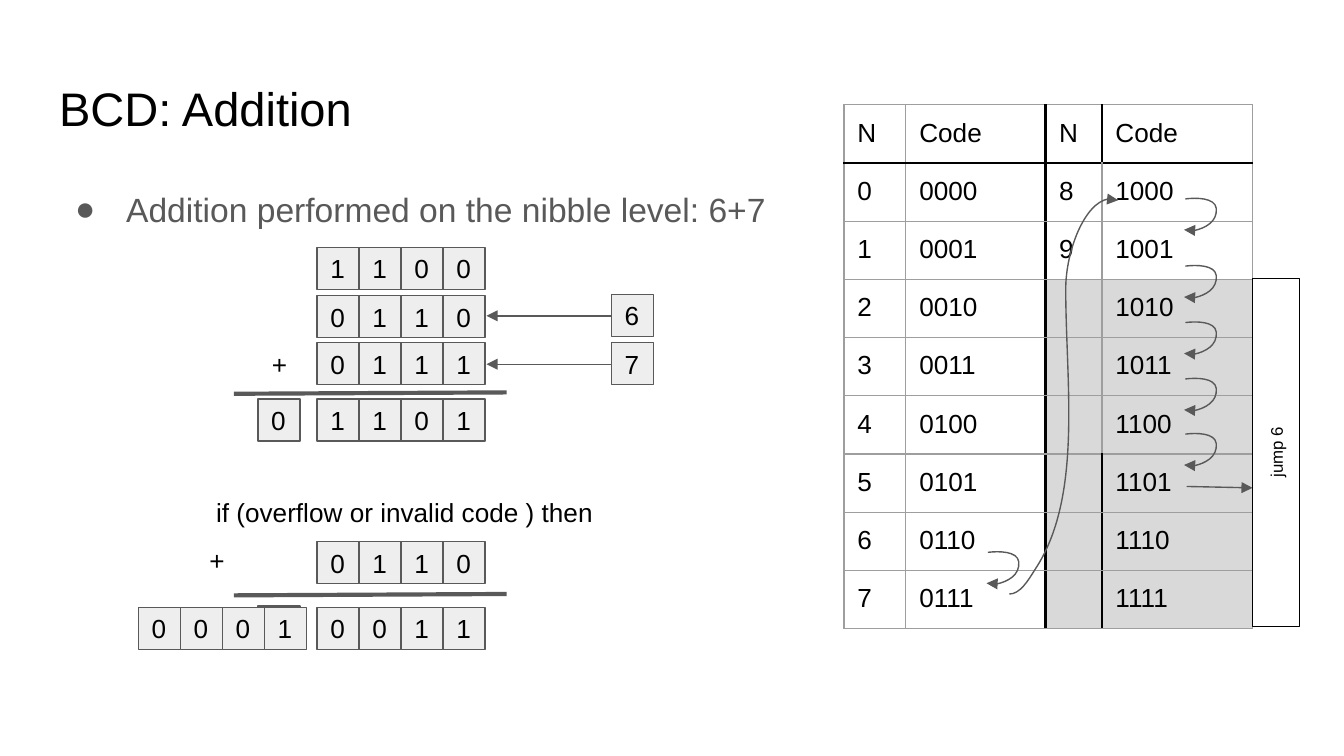
from dataclasses import dataclass

from lxml import etree
from pptx import Presentation, util as u
from pptx.dml.color import RGBColor
from pptx.enum import shapes as sh, text
from pptx.oxml.ns import qn

PX = 9144  # EMU per px, 100 px to the inch


@dataclass(frozen=True)
class Theme:
    font: str = "Arial"
    ink: str = "000000"
    grey: str = "595959"
    cell: str = "EEEEEE"
    invalid: str = "D9D9D9"
    grid: str = "9E9E9E"
    paper: str = "FFFFFF"
    title: float = 25.2
    body: float = 18
    digit: float = 14
    note: float = 9
    thin: float = 0.75
    medium: float = 1.5
    thick: float = 2.25


T = Theme()
LOOP = [(0, 0), (8, -1), (22, -1), (23, 7), (24, 17), (7, 27), (-1, 23)]
WRAP_CURVE = [(123, 364), (131, 364), (137, 354), (142, 346), (178, 292),
              (165, 207), (165, 137), (165, 109), (183, 62), (204, 71)]


def px(n):
    return u.Emu(n * PX)


def rgb(color):
    return RGBColor.from_string(color)


def write(tf, words, size, color=T.ink, align=text.PP_ALIGN.LEFT,
          anchor=text.MSO_ANCHOR.TOP):
    tf.word_wrap = True
    tf.auto_size = text.MSO_AUTO_SIZE.NONE
    tf.vertical_anchor = anchor
    tf.margin_left = tf.margin_right = tf.margin_top = tf.margin_bottom = px(10)
    p = tf.paragraphs[0]
    p.alignment = align
    add_run(p, words, size, color)
    return p


def add_run(p, words, size, color=T.ink):
    r = p.add_run()
    r.text = words
    r.font.size, r.font.name = u.Pt(size), T.font
    r.font.color.rgb = rgb(color)


def rect(parent, x, y, w, h, fill=None, line=None):
    """Add a plain rectangle; x, y, w and h are in EMU."""
    sp = parent.add_shape(sh.MSO_SHAPE.RECTANGLE, x, y, w, h)
    sp.shadow.inherit = False
    if fill:
        sp.fill.solid()
        sp.fill.fore_color.rgb = rgb(fill)
    else:
        sp.fill.background()
    if line:
        stroke(sp, line, T.thin)
    else:
        sp.line.fill.background()
    return sp


def stroke(sp, color, width, arrow=False):
    sp.line.color.rgb = rgb(color)
    sp.line.width = u.Pt(width)
    if arrow:
        ln = sp.line._get_or_add_ln()
        etree.SubElement(ln, qn("a:tailEnd"), type="triangle")


def line(s, x1, y1, x2, y2, width=T.thin, arrow=False):
    sp = s.shapes.add_connector(sh.MSO_CONNECTOR.STRAIGHT, px(x1), px(y1), px(x2), px(y2))
    stroke(sp, T.grey, width, arrow)
    etree.SubElement(sp._element.spPr, qn("a:effectLst"))


def curve_arrow(s, x, y, points):
    """Draw a start point and cubic Bezier triples, offset by x, y."""
    start, *rest = [(px(x + dx), px(y + dy)) for dx, dy in points]
    builder = s.shapes.build_freeform(*start)
    builder.add_line_segments(rest, close=False)
    sp = builder.convert_to_shape()
    outline = next(sp._element.iter(qn("a:path")))
    segments = outline.findall(qn("a:lnTo"))
    for i in range(0, len(segments), 3):
        bezier = etree.SubElement(outline, qn("a:cubicBezTo"))
        for segment in segments[i:i + 3]:
            bezier.append(segment[0])
            outline.remove(segment)
    sp.shadow.inherit = False
    sp.fill.background()
    stroke(sp, T.grey, T.thin, arrow=True)


def digits(s, x, y, bits):
    """Add a row of digit boxes, grouped when there are several."""
    parent = s.shapes.add_group_shape().shapes if len(bits) > 1 else s.shapes
    side = px(125) // 4
    for i, bit in enumerate(bits):
        sp = rect(parent, px(x) + i * side, px(y), side, side, T.cell, T.grey)
        write(sp.text_frame, bit, T.digit, anchor=text.MSO_ANCHOR.MIDDLE)


def plus(s, x, y, w):
    sp = rect(s.shapes, px(x), px(y), px(w), px(36), T.paper)
    write(sp.text_frame, "+", T.digit, align=text.PP_ALIGN.CENTER,
          anchor=text.MSO_ANCHOR.MIDDLE)


def heading(s, x, y, w, h):
    sp = s.shapes.title
    sp.left, sp.top, sp.width, sp.height = map(px, (x, y, w, h))
    write(sp.text_frame, "BCD: Addition", T.title)


def bullet(s, x, y, w, h):
    tf = s.shapes.add_textbox(*map(px, (x, y, w, h))).text_frame
    p = write(tf, "Addition performed on the nibble level: 6+7", T.body, T.grey)
    p.line_spacing = 1.15
    pPr = p._p.get_or_add_pPr()
    pPr.set("marL", str(px(50)))
    pPr.set("indent", str(px(-38)))
    color = etree.SubElement(pPr, qn("a:buClr"))
    etree.SubElement(color, qn("a:srgbClr"), val=T.grey)
    etree.SubElement(pPr, qn("a:buSzPts"), val=str(T.body * 100))
    etree.SubElement(pPr, qn("a:buFont"), typeface=T.font)
    etree.SubElement(pPr, qn("a:buChar"), char="●")


def first_sum(s, x, y):
    for dy, bits in ((71, "0111"), (36, "0110"), (0, "1100"), (113, "1101")):
        digits(s, x + 62, y + dy, bits)
    line(s, x + 203, y + 108, x, y + 109, T.thick)
    plus(s, x + 17, y + 69, 34)
    digits(s, x + 18, y + 113, "0")
    for dy, operand in ((35, "6"), (71, "7")):
        digits(s, x + 281, y + dy, operand)
        line(s, x + 281, y + dy + 16, x + 188, y + dy + 16, arrow=True)


def correction(s, x, y):
    digits(s, x + 137, y + 44, "0110")
    plus(s, x, y + 40, 125)
    digits(s, x + 137, y + 93, "0011")
    line(s, x + 278, y + 83, x + 75, y + 84, T.thick)
    tf = s.shapes.add_textbox(px(x + 52), px(y), px(314), px(44)).text_frame
    write(tf, "if (overflow or invalid code ) then", T.digit)
    digits(s, x + 93, y + 92, "1")
    digits(s, x + 4, y + 93, "0001")


def border(cell, edges):
    """Set cell borders from (side, color, width) in L, R, T, B order."""
    tcPr = cell._tc.get_or_add_tcPr()
    for i, (side, color, width) in enumerate(edges):
        ln = etree.Element(qn("a:ln" + side), w=str(u.Pt(width)))
        fill = etree.SubElement(ln, qn("a:solidFill"))
        etree.SubElement(fill, qn("a:srgbClr"), val=color)
        tcPr.insert(i, ln)


def fill_cell(cell, value, color):
    cell.margin_left = cell.margin_right = px(10)
    cell.margin_top = cell.margin_bottom = px(10)
    p = cell.text_frame.paragraphs[0]
    if value:
        add_run(p, value, T.digit)
    else:
        end = p._p.get_or_add_endParaRPr()
        end.set("sz", str(T.digit * 100))
        etree.SubElement(end, qn("a:latin"), typeface=T.font)
    if color:
        cell.fill.solid()
        cell.fill.fore_color.rgb = rgb(color)
    else:
        cell.fill.background()


def code_table(s, x, y, w, h):
    rows = [("N", "Code", "N", "Code")]
    for n in range(8):
        high = n + 8
        rows.append((str(n), f"{n:04b}", str(high) if high < 10 else "", f"{high:04b}"))
    tbl = s.shapes.add_table(len(rows), 4, *map(px, (x, y, w, h))).table
    tbl.first_row = tbl.horz_banding = False
    for col, width in zip(tbl.columns, (46, 104, 42, 112)):
        col.width = px(width)
    light, strong, dark = (T.grid, T.thin), (T.ink, T.medium), (T.ink, T.thin)
    for i, values in enumerate(rows):
        tbl.rows[i].height = u.Emu(px(h) // len(rows))
        code_edge = dark if i == 0 or i > 5 else light
        verticals = (light, light, strong, code_edge, light)
        for j, value in enumerate(values):
            cell = tbl.cell(i, j)
            fill_cell(cell, value, T.invalid if i > 2 and j > 1 else None)
            border(cell, [("L", *verticals[j]), ("R", *verticals[j + 1]),
                          ("T", *(strong if i == 1 else light)),
                          ("B", *(strong if i == 0 else light))])


def jumps(s, x, y):
    """Mark the seven steps from 6 to 13 and the invalid range."""
    for dx, dy in [(107, 333)] + [(254, d) for d in (70, 120, 162, 204, 245)]:
        curve_arrow(s, x + dx, y + dy, LOOP)
    curve_arrow(s, x, y, WRAP_CURVE)
    line(s, x + 255, y + 284, x + 304, y + 285, arrow=True)
    sp = rect(s.shapes, px(x + 192), px(y + 241), px(259), px(35), line=T.ink)
    sp.rotation = 270
    write(sp.text_frame, "jump 6", T.note, align=text.PP_ALIGN.CENTER)


def main():
    prs = Presentation()
    prs.slide_width = px(1000)
    prs.slide_height = u.Emu(prs.slide_width * 9 // 16)
    s = prs.slides.add_slide(prs.slide_layouts[5])
    heading(s, 34, 49, 932, 63)
    bullet(s, 34, 126, 932, 374)
    code_table(s, 628, 78, 304, 390)
    first_sum(s, 174, 184)
    correction(s, 99, 359)
    jumps(s, 628, 78)
    prs.save("out.pptx")


if __name__ == "__main__":
    main()
